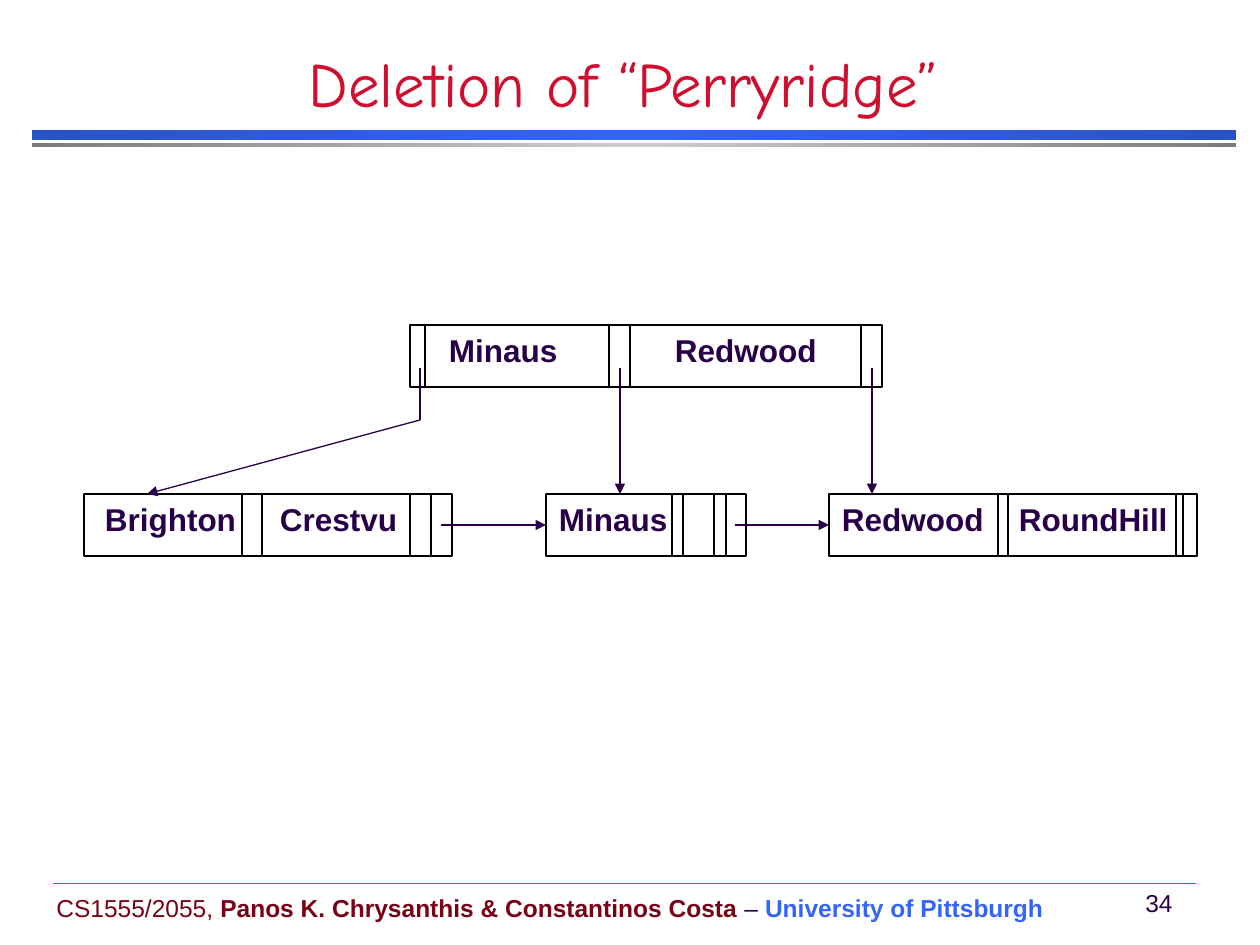
"""Build the slide showing a B+-tree after the deletion of "Perryridge"."""
from copy import deepcopy
from typing import NamedTuple

from lxml.etree import SubElement
from pptx import Presentation
from pptx.dml.color import RGBColor
from pptx.enum.shapes import MSO_CONNECTOR as CONN, MSO_SHAPE as SHAPE
from pptx.enum.text import MSO_ANCHOR as ANCHOR, PP_ALIGN as ALIGN
from pptx.oxml.ns import qn
from pptx.util import Emu, Pt

PX = 914400 / 126
NODE_H = 62
ROOT_Y, LEAF_Y = 325, 494
LEAF_MID = LEAF_Y + NODE_H // 2
LEFT_SIDE = 1

WHITE = RGBColor(0xFF, 0xFF, 0xFF)
BLACK = RGBColor(0x00, 0x00, 0x00)
INK = RGBColor(0x28, 0x00, 0x49)
RED = RGBColor(0xCF, 0x0E, 0x30)
MAROON = RGBColor(0x79, 0x00, 0x15)
BLUE = RGBColor(0x33, 0x65, 0xFB)
DARK_BLUE = RGBColor(0x29, 0x51, 0xC9)
GREY = RGBColor(0x7C, 0x7C, 0x7C)
LIGHT_GREY = RGBColor(0xCE, 0xCE, 0xCE)
TEAL = RGBColor(0x00, 0x96, 0x88)


class Box(NamedTuple):
    x: int
    y: int
    w: int
    h: int


class Run(NamedTuple):
    text: str
    color: RGBColor
    size: int = 14
    bold: bool = False
    font: str = "Arial"


class Label(NamedTuple):
    box: Box
    runs: list[Run]
    frame: dict
    align: ALIGN = ALIGN.LEFT


class Node(NamedTuple):
    name: str
    box: Box
    keys: list[str]
    inset: int
    tab: int
    dividers: list[int]


class Link(NamedTuple):
    start: tuple[int, int]
    end: tuple[int, int]
    target: str = ""
    arrow: bool = True


class Bar(NamedTuple):
    box: Box
    edge: RGBColor
    middle: RGBColor


BARS = [
    Bar(Box(32, 130, 1204, 10), DARK_BLUE, BLUE),
    Bar(Box(32, 143, 1204, 4), GREY, LIGHT_GREY),
]
LABELS = [
    Label(Box(0, 53, 1247, 73),
          [Run("Deletion of “Perryridge”", RED, 36, font="Comic Neue")],
          {"vertical_anchor": ANCHOR.BOTTOM}, ALIGN.CENTER),
    Label(Box(44, 857, 1071, 72),
          [Run("CS1555/2055, ", MAROON),
           Run("Panos K. Chrysanthis & Constantinos Costa", MAROON, bold=True),
           Run(" – ", INK),
           Run("University of Pittsburgh", BLUE, bold=True)],
          {"vertical_anchor": ANCHOR.BOTTOM}),
    Label(Box(1128, 882, 62, 42), [Run("34", INK)],
          {"vertical_anchor": ANCHOR.MIDDLE, "word_wrap": False}, ALIGN.CENTER),
]
NODES = [
    Node("root", Box(410, ROOT_Y, 472, NODE_H), ["Minaus", "Redwood"],
         39, 226, [425, 609, 630, 861]),
    Node("left leaf", Box(84, LEAF_Y, 368, NODE_H), ["Brighton", "Crestvu"],
         21, 175, [242, 262, 410, 431]),
    Node("middle leaf", Box(546, LEAF_Y, 200, NODE_H), ["Minaus"],
         13, 0, [672, 683, 714, 726]),
    Node("right leaf", Box(829, LEAF_Y, 368, NODE_H), ["Redwood", "RoundHill"],
         13, 177, [998, 1008, 1176, 1183]),
]
LINKS = [
    Link((420, 368), (420, 420), arrow=False),
    Link((420, 420), (147, LEAF_Y)),
    Link((620, 368), (620, LEAF_Y)),
    Link((872, 368), (872, LEAF_Y)),
    Link((441, LEAF_MID), (546, LEAF_MID), "middle leaf"),
    Link((735, LEAF_MID), (829, LEAF_MID), "right leaf"),
]


def px(n: int) -> Emu:
    return Emu(round(n * PX))


def apply(obj, formats: dict) -> None:
    for name, value in formats.items():
        setattr(obj, name, value)


def add_rect(s, box: Box):
    sp = s.shapes.add_shape(SHAPE.RECTANGLE, *map(px, box))
    sp.shadow.inherit = False
    return sp


def add_run(p, run: Run) -> None:
    r = p.add_run()
    r.text = run.text
    apply(r.font, {"name": run.font, "size": Pt(run.size), "bold": run.bold})
    r.font.color.rgb = run.color


def add_bar(s, bar: Bar) -> None:
    sp = add_rect(s, bar.box)
    sp.line.fill.background()
    sp.fill.gradient()
    sp.fill.gradient_angle = 0
    stops = sp.fill._fill._gradFill.find(qn("a:gsLst"))
    stops.insert(1, deepcopy(stops[0]))
    colors = (bar.edge, bar.middle, bar.edge)
    for stop, color, pos in zip(sp.fill.gradient_stops, colors, (0, 0.5, 1)):
        stop.color.rgb = color
        stop.position = pos


def add_label(s, label: Label) -> None:
    tf = s.shapes.add_textbox(*map(px, label.box)).text_frame
    apply(tf, {"word_wrap": True, **label.frame})
    p = tf.paragraphs[0]
    p.alignment = label.align
    for run in label.runs:
        add_run(p, run)


def add_line(s, start: tuple[int, int], end: tuple[int, int],
             color: RGBColor = BLACK, width: float = 0.75):
    c = s.shapes.add_connector(CONN.STRAIGHT, *map(px, start + end))
    c.line.color.rgb = color
    c.line.width = Pt(width)
    SubElement(c._element.spPr, qn("a:effectLst"))
    return c


def add_node(s, node: Node):
    sp = add_rect(s, node.box)
    sp.fill.solid()
    sp.fill.fore_color.rgb = WHITE
    sp.line.color.rgb = BLACK
    sp.line.width = Pt(0.75)
    tf = sp.text_frame
    apply(tf, {"vertical_anchor": ANCHOR.TOP, "word_wrap": True,
               "margin_left": px(node.inset)})
    p = tf.paragraphs[0]
    p.alignment = ALIGN.LEFT
    if node.tab:
        tabs = SubElement(p._p.get_or_add_pPr(), qn("a:tabLst"))
        SubElement(tabs, qn("a:tab"), pos=str(px(node.tab)), algn="l")
    add_run(p, Run("\t".join(node.keys), INK, 18, True))
    top, bottom = node.box.y, node.box.y + node.box.h
    for x in node.dividers:
        add_line(s, (x, top), (x, bottom))
    return sp


def add_link(s, link: Link, nodes: dict) -> None:
    c = add_line(s, link.start, link.end, INK)
    if link.target:
        c.end_connect(nodes[link.target], LEFT_SIDE)
    if link.arrow:
        SubElement(c.line._get_or_add_ln(), qn("a:tailEnd"), type="triangle")


def main() -> None:
    prs = Presentation()
    apply(prs, {"slide_width": px(1260), "slide_height": px(945)})
    s = prs.slides.add_slide(prs.slide_layouts[6])
    for bar in BARS:
        add_bar(s, bar)
    add_line(s, (53, 883), (1196, 883), TEAL, 0.25)
    for label in LABELS:
        add_label(s, label)
    nodes = {node.name: add_node(s, node) for node in NODES}
    for link in LINKS:
        add_link(s, link, nodes)
    prs.save("out.pptx")


if __name__ == "__main__":
    main()
